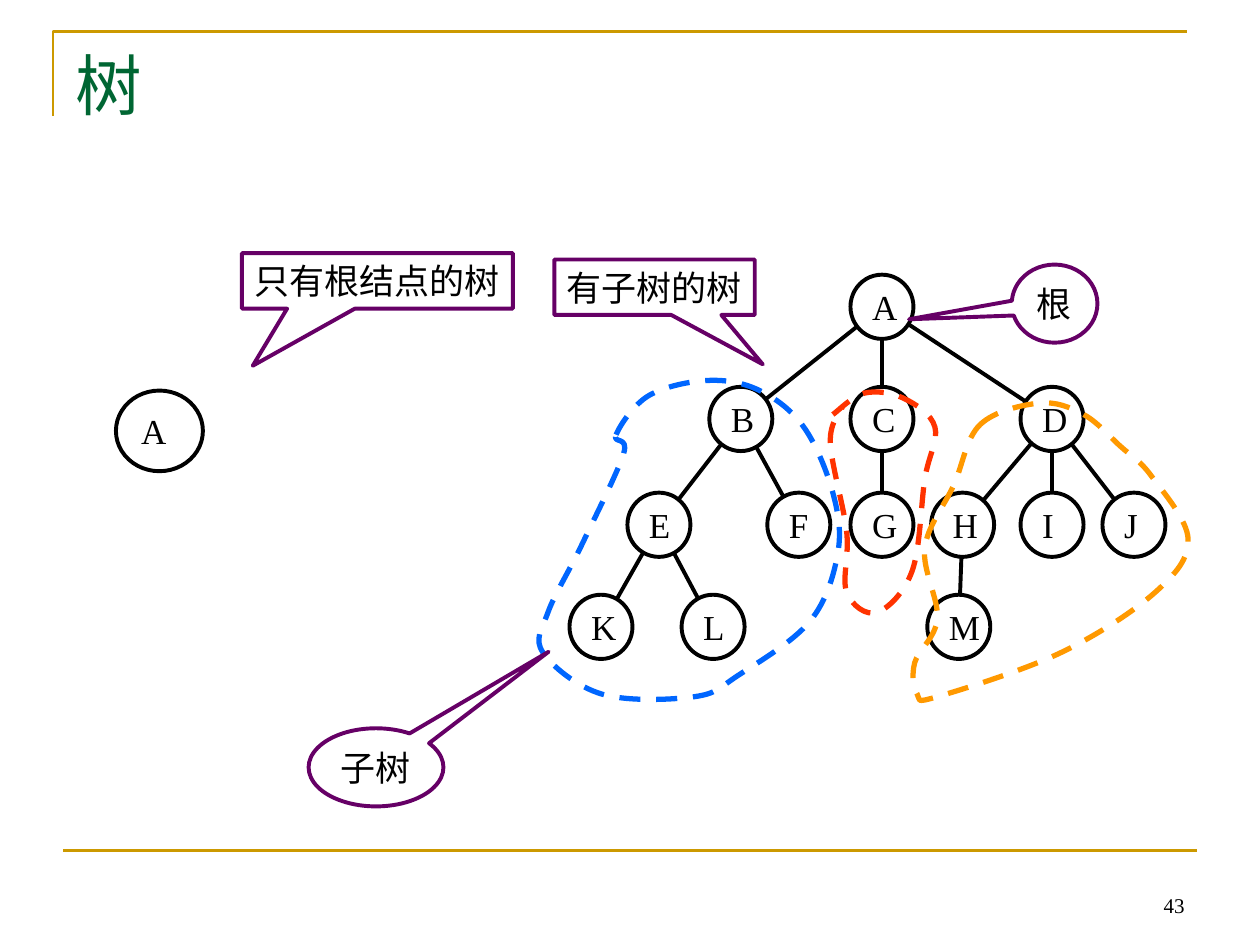
import math
import pptx
import pptx.util
import pptx.dml.color
import pptx.enum.dml
import pptx.enum.shapes
import pptx.enum.text
import pptx.oxml.ns
import pptx.shapes.connector
import lxml.etree
from pptx.util import Inches

COLORS = {"black": "000000", "green": "006633", "gold": "CC9900", "purple": "660066",
          "blue": "0066FF", "red": "FF3300", "orange": "FF9900"}
SHAPE = pptx.enum.shapes.MSO_SHAPE
ALIGN = pptx.enum.text.PP_ALIGN
ANCHOR = pptx.enum.text.MSO_ANCHOR
FONT = "Times New Roman"


def write(shape, text, size=20, color="black", align=ALIGN.LEFT,
          anchor=ANCHOR.MIDDLE, wrap=False):
    frame = shape.text_frame
    frame.word_wrap = wrap
    frame.auto_size = pptx.enum.text.MSO_AUTO_SIZE.NONE
    frame.vertical_anchor = anchor
    para = frame.paragraphs[0]
    para.alignment = align
    run = para.add_run()
    run.text = text
    run.font.size = pptx.util.Pt(size)
    run.font.name = FONT
    run.font.color.rgb = pptx.dml.color.RGBColor.from_string(COLORS[color])


def outline(shape, color, width=2.25):
    shape.line.color.rgb = pptx.dml.color.RGBColor.from_string(COLORS[color])
    shape.line.width = pptx.util.Pt(width)
    if isinstance(shape, pptx.shapes.connector.Connector):
        lxml.etree.SubElement(shape.element.spPr, pptx.oxml.ns.qn("a:effectLst"))
    else:
        shape.fill.background()
        shape.shadow.inherit = False


deck = pptx.Presentation()
deck.slide_width, deck.slide_height = Inches(10), Inches(7.5)
slide = deck.slides.add_slide(deck.slide_layouts[5])
shapes = slide.shapes

# Title
title = shapes.title
title.left, title.top = Inches(0.5), Inches(0.3)
title.width, title.height = Inches(9), Inches(1.25)
write(title, "树", 38, "green", anchor=ANCHOR.TOP, wrap=True)

# Gold corner at the top
pen = shapes.build_freeform(Inches(0.42), Inches(0.92))
pen.add_line_segments([(Inches(0.42), Inches(0.25)), (Inches(9.42), Inches(0.25))], close=False)
outline(pen.convert_to_shape(), "gold", 1.5)

# Nodes: one lone root, then the tree row by row
wide, high = 0.5, 0.51
rows = [(2.18, {"A": 6.75}),
        (3.07, {"B": 5.63, "C": 6.75, "D": 8.1}),
        (3.91, {"E": 4.98, "F": 6.09, "G": 6.75, "H": 7.39, "I": 8.1, "J": 8.75}),
        (4.72, {"K": 4.52, "L": 5.41, "M": 7.36})]
nodes = [("A", 0.92, 3.1, 0.69, 0.64)]
mid = {}
for top, row in rows:
    for name, left in row.items():
        nodes.append((name, left, top, wide, high))
        mid[name] = (left + wide / 2, top + high / 2)
for name, *box in nodes:
    node = shapes.add_shape(SHAPE.OVAL, *map(Inches, box))
    outline(node, "black")
    write(node, name)

# Edges run from rim to rim; the bottom rule is one more line
lines = [((0.5, 6.75, 9.5, 6.75), "gold", 1.5)]
for root, kids in {"A": "BCD", "B": "EF", "C": "G", "D": "HIJ", "E": "KL", "H": "M"}.items():
    for kid in kids:
        (x1, y1), (x2, y2) = mid[root], mid[kid]
        part = high / 2 / math.dist(mid[root], mid[kid])
        dx, dy = (x2 - x1) * part, (y2 - y1) * part
        lines.append(((x1 + dx, y1 + dy, x2 - dx, y2 - dy), "black", 2.25))
for ends, color, width in lines:
    line = shapes.add_connector(pptx.enum.shapes.MSO_CONNECTOR.STRAIGHT, *map(Inches, ends))
    outline(line, color, width)

# Dashed subtree loops: smooth curves through a few knots
loops = [
    ("blue", True, [
        (4.89, 3.45), (5.15, 3.14), (5.62, 3.02), (6.03, 3.1), (6.38, 3.39),
        (6.61, 3.91), (6.65, 4.39), (6.43, 4.93), (5.86, 5.36), (5.51, 5.53),
        (4.78, 5.51), (4.31, 5.18), (4.35, 4.86), (4.62, 4.32), (4.95, 3.6)]),
    ("red", False, [
        (6.61, 3.29), (6.86, 3.12), (7.17, 3.16), (7.42, 3.39), (7.34, 3.8),
        (7.24, 4.53), (6.96, 4.86), (6.72, 4.7), (6.72, 4.22), (6.59, 3.51),
        (6.69, 3.22)]),
    ("orange", True, [
        (7.78, 3.37), (8.25, 3.2), (8.6, 3.29), (8.89, 3.54), (9.14, 3.78),
        (9.43, 4.28), (9.17, 4.7), (8.42, 5.18), (7.44, 5.53), (7.28, 5.51),
        (7.26, 5.26), (7.44, 4.91), (7.34, 4.35), (7.57, 3.85)])]
for color, closed, knots in loops:
    if closed:
        chain = [knots[-1], *knots, *knots[:2]]
    else:
        chain = [knots[0], *knots, knots[-1]]
    points = []
    for a, b, c, d in zip(chain, chain[1:], chain[2:], chain[3:]):
        points.append([Inches(q + (r - p) / 6) for p, q, r in zip(a, b, c)])
        points.append([Inches(q - (r - p) / 6) for p, q, r in zip(b, c, d)])
        points.append([Inches(q) for q in c])
    pen = shapes.build_freeform(*map(Inches, knots[0]))
    pen.add_line_segments(points, close=closed)
    loop = pen.convert_to_shape()
    outline(loop, color, 3)
    loop.line.dash_style = pptx.enum.dml.MSO_LINE.DASH
    # Turn each three straight steps into one Bezier curve
    steps = list(loop.element.iter(pptx.oxml.ns.qn("a:lnTo")))
    for i in range(0, len(points), 3):
        bend = lxml.etree.Element(pptx.oxml.ns.qn("a:cubicBezTo"))
        steps[i].addprevious(bend)
        for step in steps[i:i + 3]:
            bend.append(step[0])
            step.getparent().remove(step)

# Callouts
RECT, OVAL = SHAPE.RECTANGULAR_CALLOUT, SHAPE.OVAL_CALLOUT
notes = [("只有根结点的树", RECT, (1.92, 2.01, 2.15, 0.44), (-0.46, 1.53)),
         ("有子树的树", RECT, (4.4, 2.06, 1.59, 0.44), (0.54, 1.39)),
         ("根", OVAL, (8.03, 2.1, 0.68, 0.62), (-1.7, 0.2)),
         ("子树", OVAL, (2.45, 5.78, 1.07, 0.62), (1.28, -1.48))]
for text, kind, box, tip in notes:
    note = shapes.add_shape(kind, *map(Inches, box))
    note.adjustments[0], note.adjustments[1] = tip
    outline(note, "purple")
    write(note, text)

# Page number
page = shapes.add_textbox(Inches(7.17), Inches(6.83), Inches(2.33), Inches(0.5))
write(page, "43", 12, align=ALIGN.RIGHT, anchor=ANCHOR.BOTTOM, wrap=True)

deck.save("out.pptx")
